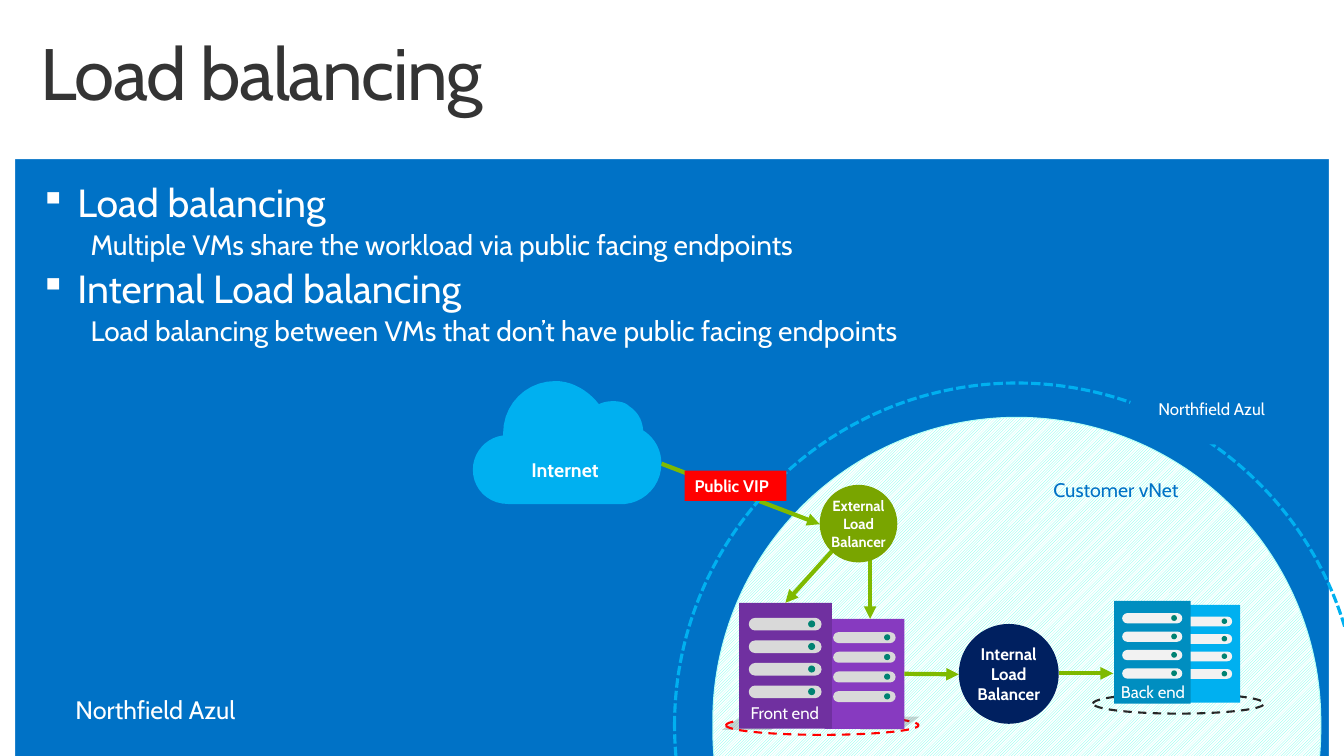
from lxml import etree
from pptx import Presentation
from pptx import util as u
from pptx.dml.color import RGBColor
from pptx.enum import dml, shapes, text
from pptx.oxml.ns import qn

PX = 9144  # EMU per px, 100 px to the inch
WHITE = RGBColor(0xFF, 0xFF, 0xFF)
BLUE = RGBColor(0x00, 0x72, 0xC6)
SKY = RGBColor(0x00, 0xB0, 0xF0)
TEAL_BLUE = RGBColor(0x00, 0x8E, 0xC0)
NAVY = RGBColor(0x00, 0x20, 0x60)
OLIVE = RGBColor(0x79, 0xA5, 0x00)
LIME = RGBColor(0x7F, 0xBA, 0x00)
RED = RGBColor(0xFF, 0x00, 0x00)
PURPLE = RGBColor(0x70, 0x30, 0xA0)
VIOLET = RGBColor(0x87, 0x3A, 0xC0)
DARK = RGBColor(0x34, 0x34, 0x34)
BLACK = RGBColor(0x27, 0x27, 0x27)
SHADE = RGBColor(0x1A, 0x1A, 0x1A)
SILVER = RGBColor(0xD9, 0xD9, 0xD9)
PALE = RGBColor(0xF2, 0xF2, 0xF2)
LED = RGBColor(0x00, 0x82, 0x72)
MINT = RGBColor(0x67, 0xFF, 0xEC)
MINT_EDGE = RGBColor(0xB3, 0xFF, 0xF6)

RECT = shapes.MSO_SHAPE.RECTANGLE
OVAL = shapes.MSO_SHAPE.OVAL
ROUND = shapes.MSO_SHAPE.ROUNDED_RECTANGLE
DASH = dml.MSO_LINE.DASH
SHORT_DASH = dml.MSO_LINE.SQUARE_DOT
CENTER = text.PP_ALIGN.CENTER
MIDDLE = text.MSO_ANCHOR.MIDDLE

# Cubic curves (two controls and an end) on a 187 by 122 grid
CLOUD_START = (30, 54)
CLOUD_CURVES = [
    (30, 53, 30, 52, 30, 52), (30, 23, 53, 0, 82, 0),
    (99, 0, 115, 10, 125, 23), (129, 21, 134, 20, 139, 20),
    (145, 20, 151, 21, 155, 25), (163, 30, 168, 38, 169, 49),
    (180, 56, 187, 68, 187, 82), (187, 103, 171, 120, 151, 122),
    (151, 122, 35, 122, 35, 122), (15, 122, 0, 107, 0, 88),
    (0, 71, 13, 56, 30, 54),
]


def emu(*px):
    return [u.Emu(round(v * PX)) for v in px]


def cloud_points(steps=10):
    """Points along the cloud outline, as shares of its width and height."""
    x0, y0 = CLOUD_START
    points = []
    for x1, y1, x2, y2, x3, y3 in CLOUD_CURVES:
        for i in range(steps):
            t = i / steps
            a, b, c, d = (1 - t) ** 3, 3 * t * (1 - t) ** 2, 3 * t * t * (1 - t), t ** 3
            points.append(((a * x0 + b * x1 + c * x2 + d * x3) / 187,
                           (a * y0 + b * y1 + c * y2 + d * y3) / 122))
        x0, y0 = x3, y3
    return points


class Deck:
    font = "Cabin"

    def __init__(self, width, height):
        self.prs = Presentation()
        self.prs.slide_width, self.prs.slide_height = emu(width, height)
        self.s = self.prs.slides.add_slide(self.prs.slide_layouts[6])

    def background(self, color):
        fill = self.s.background.fill
        fill.solid()
        fill.fore_color.rgb = color

    def paint(self, sp, fill=None, line=None, width=1, dash=None):
        sp.shadow.inherit = False
        if fill is None:
            sp.fill.background()
        else:
            sp.fill.solid()
            sp.fill.fore_color.rgb = fill
        if line is None:
            sp.line.fill.background()
        else:
            sp.line.color.rgb = line
            sp.line.width = u.Pt(width)
            sp.line.dash_style = dash
        return sp

    def shape(self, kind, x, y, w, h, **look):
        sp = self.s.shapes.add_shape(kind, *emu(x, y, w, h))
        if kind == ROUND:
            sp.adjustments[0] = 0.5
        return self.paint(sp, **look)

    def polygon(self, points, fill, alpha=None):
        points = [emu(*pt) for pt in points]
        builder = self.s.shapes.build_freeform(*points[0], scale=1.0)
        builder.add_line_segments(points[1:], close=True)
        sp = self.paint(builder.convert_to_shape(), fill)
        if alpha is not None:
            clr = sp._element.spPr.find(qn("a:solidFill"))[0]
            etree.SubElement(clr, qn("a:alpha")).set("val", str(alpha * 1000))
        return sp

    def cloud(self, x, y, w, h, fill):
        self.polygon([(x + a * w, y + b * h) for a, b in cloud_points()], fill)

    def add_words(self, p, words, size, color=WHITE, bold=False, **layout):
        """Fill a paragraph; layout holds paragraph attributes."""
        for name, value in layout.items():
            setattr(p, name, value)
        r = p.add_run()
        r.text = words
        r.font.color.rgb = color
        style = dict(name=self.font, size=u.Pt(size), bold=bold)
        for name, value in style.items():
            setattr(r.font, name, value)
        return r

    def frame(self, x, y, w, h, **frame):
        tf = self.s.shapes.add_textbox(*emu(x, y, w, h)).text_frame
        for name, value in dict(word_wrap=True, **frame).items():
            setattr(tf, name, value)
        return tf

    def label(self, x, y, w, h, words, size, color=WHITE, bold=False, frame=None, **layout):
        tf = self.frame(x, y, w, h, **(frame or {}))
        return self.add_words(tf.paragraphs[0], words, size, color, bold, **layout)

    def topics(self, x, y, w, h, items):
        """Bulleted headings, each with an indented line under it."""
        tf = self.frame(x, y, w, h)
        lines = [ln for head, note in items for ln in ((head, 28, 37, -37), (note, 20, 50, 0))]
        for i, (words, size, left, first) in enumerate(lines):
            p = tf.paragraphs[0] if i == 0 else tf.add_paragraph()
            pPr = p._p.get_or_add_pPr()
            pPr.set("marL", str(left * PX))
            pPr.set("indent", str(first * PX))
            if first:
                clr = etree.SubElement(pPr, qn("a:buClr"))
                etree.SubElement(clr, qn("a:srgbClr")).set("val", str(WHITE))
                etree.SubElement(pPr, qn("a:buSzPct")).set("val", "90000")
                etree.SubElement(pPr, qn("a:buChar")).set("char", "▪")
            self.add_words(p, words, size, line_spacing=0.9,
                           space_before=u.Pt(0.2 * size if i else 0))

    def arrow(self, x1, y1, x2, y2, begin=None, end=None):
        """begin and end are (shape, site) pairs to join."""
        cx = self.s.shapes.add_connector(shapes.MSO_CONNECTOR.STRAIGHT, *emu(x1, y1, x2, y2))
        cx.line.color.rgb = LIME
        cx.line.width = u.Pt(3)
        etree.SubElement(cx.line._get_or_add_ln(), qn("a:tailEnd")).set("type", "triangle")
        etree.SubElement(cx._element.spPr, qn("a:effectLst"))
        if begin:
            cx.begin_connect(*begin)
        if end:
            cx.end_connect(*end)

    def server(self, x, y, w, h, fill, slot):
        case = self.shape(RECT, x, y, w, h, fill=fill)
        led = 0.056 * h
        for i in range(4):
            top = y + (0.12 + 0.179 * i) * h
            self.shape(ROUND, x + 0.105 * w, top, 0.785 * w, 0.1 * h, fill=slot)
            self.shape(OVAL, x + 0.745 * w, top + 0.02 * h, led, led, fill=LED)
        return case

    def balancer(self, x, y, d, fill, words, size, pad):
        self.shape(OVAL, x, y, d, d, fill=fill)
        self.label(x - pad, y, d + 2 * pad, d, words, size, bold=True,
                   frame=dict(vertical_anchor=MIDDLE), alignment=CENTER)


def main():
    d = Deck(1333, 750)
    d.background(BLUE)
    for border in ((0, 0, 15, 750), (1318, 0, 15, 750), (0, 0, 1333, 158)):
        d.shape(RECT, *border, fill=WHITE)
    title = d.label(30, 32, 1080, 101, "Load balancing", 52, DARK, line_spacing=0.9)
    title.font._element.set("spc", "-100")
    d.topics(30, 177, 1270, 523, [
        ("Load balancing", "Multiple VMs share the workload via public facing endpoints"),
        ("Internal Load balancing",
         "Load balancing between VMs that don’t have public facing endpoints"),
    ])
    d.label(65, 684, 196, 40, "Northfield Azul", 18)

    vnet = d.shape(ROUND, 707, 414, 603, 611, line=MINT_EDGE, width=0.75)
    vnet.fill.patterned()
    vnet.fill.pattern = dml.MSO_PATTERN.LIGHT_UPWARD_DIAGONAL
    vnet.fill.fore_color.rgb = MINT
    vnet.fill.back_color.rgb = WHITE
    d.label(1035, 469, 150, 34, "Customer vNet", 14, BLUE)

    d.polygon([(738, 709), (787, 709), (765, 724), (716, 724)], SHADE, alpha=19)
    d.shape(OVAL, 1084, 688, 170, 20, line=BLACK, width=1.5, dash=DASH)
    d.shape(OVAL, 720, 710, 191, 19, line=RED, width=1.5, dash=DASH)
    d.polygon([(872, 711), (912, 711), (894, 724), (853, 724)], SHADE, alpha=19)
    d.server(1158, 600, 72, 97, SKY, PALE)
    d.server(1105, 596, 76, 102, TEAL_BLUE, PALE)
    front_right = d.server(818, 614, 79, 109, VIOLET, SILVER)
    front_left = d.server(733, 598, 92, 125, PURPLE, SILVER)
    d.label(1094, 671, 99, 30, "Back end", 12, alignment=CENTER)
    d.label(725, 692, 107, 30, "Front end", 12, alignment=CENTER)

    d.arrow(863, 553, 863, 614)
    d.arrow(825, 547, 779, 598, end=(front_left, 0))
    d.arrow(897, 669, 951, 669, begin=(front_right, 3))
    d.arrow(656, 460, 813, 520)
    d.balancer(813, 481, 77, OLIVE, "External Load Balancer", 10.5, pad=2)
    d.balancer(951, 619, 99, NAVY, "Internal Load Balancer", 12, pad=2)

    d.cloud(469, 378, 187, 122, SKY)
    no_inset = dict(margin_left=u.Emu(10 * PX), margin_right=0, margin_top=0, margin_bottom=0)
    d.label(478, 431, 155, 72, "Internet", 14, bold=True, alignment=CENTER, line_spacing=0.9,
            frame=dict(vertical_anchor=MIDDLE, **no_inset))
    d.shape(OVAL, 669, 380, 679, 679, line=SKY, width=2.25, dash=SHORT_DASH)
    d.cloud(1119, 331, 172, 110, BLUE)
    d.arrow(1050, 668, 1104, 668)
    d.label(1139, 391, 149, 30, "Northfield Azul", 12)

    vip = d.shape(RECT, 679, 467, 101, 30, fill=RED).text_frame
    vip.vertical_anchor = text.MSO_ANCHOR.TOP
    d.add_words(vip.paragraphs[0], "Public VIP", 12, bold=True, alignment=text.PP_ALIGN.LEFT)
    d.prs.save("out.pptx")


if __name__ == "__main__":
    main()
